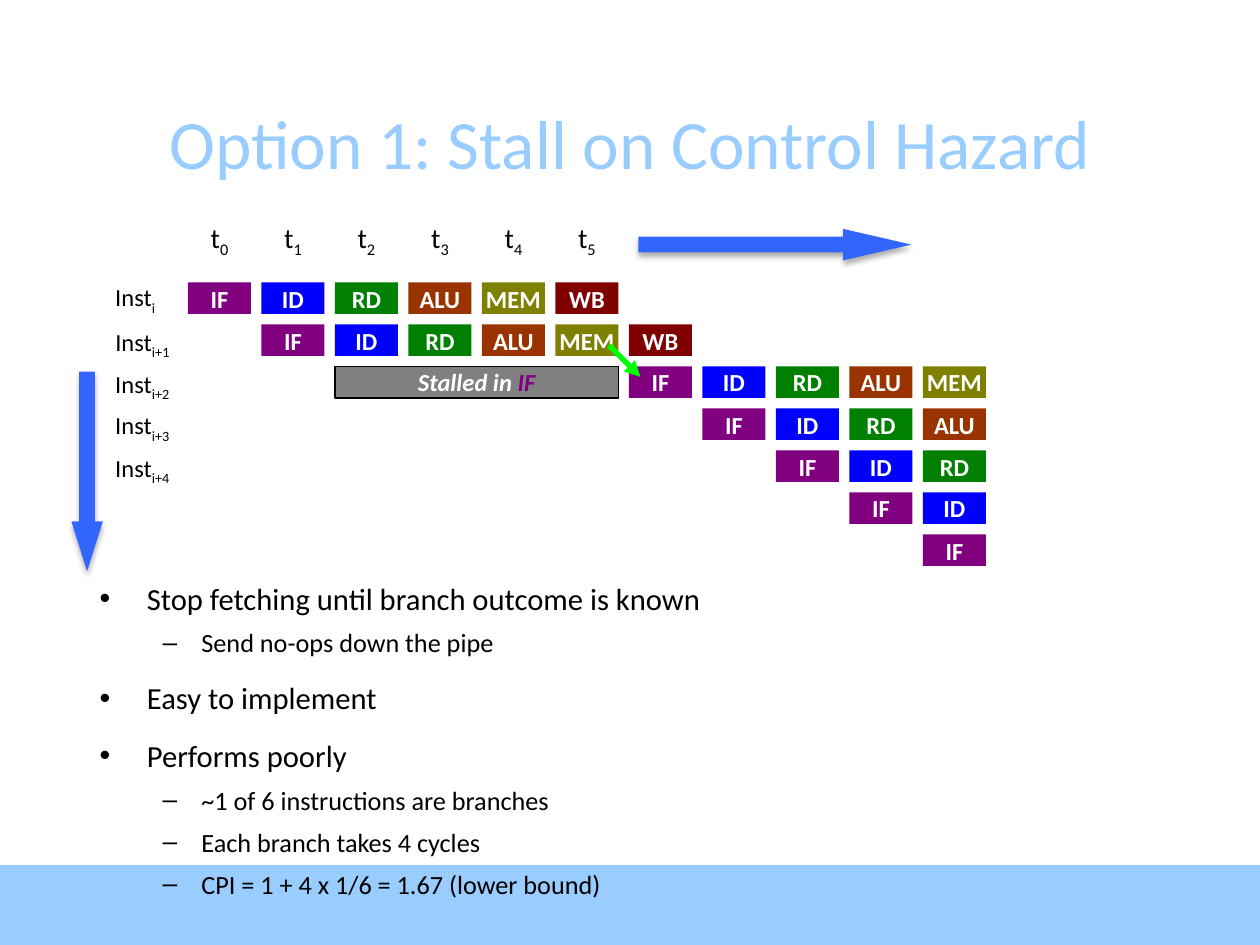
from lxml.etree import SubElement
from pptx import Presentation
from pptx.dml.color import RGBColor
from pptx.enum.shapes import MSO_CONNECTOR as CONN, MSO_SHAPE as SHAPE
from pptx.enum.text import MSO_ANCHOR as ANCHOR, MSO_AUTO_SIZE as FIT, PP_ALIGN as ALIGN
from pptx.oxml.ns import qn
from pptx.util import Pt

PX = 7620  # EMU per px: 120 px to the inch
COLORS = {
    "sky": "99CCFF", "arrow": "3366FF", "hazard": "00FF00", "stall": "808080",
    "black": "000000", "white": "FFFFFF",
    "IF": "800080", "ID": "0000FF", "RD": "008000",
    "ALU": "993300", "MEM": "808000", "WB": "800000",
}
STAGES = ["IF", "ID", "RD", "ALU", "MEM", "WB"]
LEFT, TOP, COL, ROW = 179, 269, 70, 40  # pipeline grid
CELL_W, CELL_H = 60, 30
COLUMNS = 11
ROW_STARTS = [0, 1, 6, 7, 8, 9, 10]
LABELS = [("i", 269, 65), ("i+1", 311, 100), ("i+2", 351, 110),
          ("i+3", 391, 110), ("i+4", 431, 120)]
BULLETS = [
    (0, "Stop fetching until branch outcome is known"),
    (1, "Send no-ops down the pipe"),
    (0, "Easy to implement"),
    (0, "Performs poorly"),
    (1, "~1 of 6 instructions are branches"),
    (1, "Each branch takes 4 cycles"),
    (1, "CPI = 1 + 4 x 1/6 = 1.67 (lower bound)"),
]
# Per level: mark, left margin px, indent px, space before, size
LEVELS = [("•", 45, -45, 12, 17.5), ("–", 97, -37, 6, 15)]
BAND_SHADOW = (35, 3.1, 1.8)  # opacity %, blur pt, distance pt
ARROW_SHADOW = (32, 3.5, 2.2)


def rgb(name):
    return RGBColor.from_string(COLORS[name])


class Deck:
    font = "Calibri"

    def __init__(self):
        self.prs = Presentation()
        self.prs.slide_width, self.prs.slide_height = 1200 * PX, 900 * PX
        self.slide = self.prs.slides.add_slide(self.prs.slide_layouts[5])

    def run(self, p, text, color="black", base=0, **fmt):
        r = p.add_run()
        r.text = text
        r.font.name = self.font
        r.font.color.rgb = rgb(color)
        for key, value in fmt.items():
            setattr(r.font, key, value)
        if base:
            r.font._element.set("baseline", str(base * 1000))

    def title(self, text, x, y, w, h):
        sp = self.slide.shapes.title
        sp.left, sp.top, sp.width, sp.height = (v * PX for v in (x, y, w, h))
        tf = sp.text_frame
        tf.auto_size, tf.vertical_anchor = FIT.NONE, ANCHOR.MIDDLE
        p = tf.paragraphs[0]
        p.alignment = ALIGN.CENTER
        self.run(p, text, "sky", size=Pt(39.6))

    def shape(self, kind, x, y, w, h, fill, line=None, shadow=None, adj=()):
        sp = self.slide.shapes.add_shape(kind, x * PX, y * PX, w * PX, h * PX)
        sp.fill.solid()
        sp.fill.fore_color.rgb = rgb(fill)
        if line:
            sp.line.color.rgb, sp.line.width = rgb(line), Pt(0.75)
        else:
            sp.line.fill.background()
        for i, value in enumerate(adj):
            sp.adjustments[i] = value
        sp.shadow.inherit = False
        if shadow:
            self.add_shadow(sp, *shadow)
        return sp

    def add_shadow(self, sp, opacity, blur, dist):
        effects = sp._element.spPr.find(qn("a:effectLst"))
        outer = SubElement(effects, qn("a:outerShdw"), blurRad=str(Pt(blur)),
                           dist=str(Pt(dist)), dir="5400000", rotWithShape="0")
        color = SubElement(outer, qn("a:srgbClr"), val=COLORS["black"])
        SubElement(color, qn("a:alpha"), val=str(opacity * 1000))

    def box(self, x, y, w, fill, runs, line=None, italic=None):
        sp = self.shape(SHAPE.RECTANGLE, x, y, w, CELL_H, fill, line)
        tf = sp.text_frame
        tf.word_wrap, tf.vertical_anchor = False, ANCHOR.MIDDLE
        p = tf.paragraphs[0]
        p.alignment = ALIGN.CENTER
        for text, color in runs:
            self.run(p, text, color, size=Pt(14), bold=True, italic=italic)

    def textbox(self, x, y, w, h):
        sp = self.slide.shapes.add_textbox(x * PX, y * PX, w * PX, h * PX)
        tf = sp.text_frame
        tf.word_wrap = True
        return tf

    def label(self, x, y, w, h, text, sub, size, align=ALIGN.LEFT, pad=6):
        tf = self.textbox(x, y, w, h)
        tf.auto_size = FIT.SHAPE_TO_FIT_TEXT
        tf.margin_top = tf.margin_bottom = pad * PX
        p = tf.paragraphs[0]
        p.alignment = align
        self.run(p, text, size=Pt(size))
        self.run(p, sub, size=Pt(size), base=-25)

    def bullets(self, x, y, w, h, items):
        tf = self.textbox(x, y, w, h)
        for i, (level, text) in enumerate(items):
            mark, margin, indent, before, size = LEVELS[level]
            p = tf.add_paragraph() if i else tf.paragraphs[0]
            p.level = level
            p.space_before = Pt(before if i else 0)
            pPr = p._p.get_or_add_pPr()
            pPr.set("marL", str(margin * PX))
            pPr.set("indent", str(indent * PX))
            SubElement(pPr, qn("a:buFont"), typeface="Arial")
            SubElement(pPr, qn("a:buChar"), char=mark)
            self.run(p, text, size=Pt(size))

    def arrow_line(self, x1, y1, x2, y2, color, width):
        c = self.slide.shapes.add_connector(
            CONN.STRAIGHT, x1 * PX, y1 * PX, x2 * PX, y2 * PX)
        c.line.color.rgb, c.line.width = rgb(color), Pt(width)
        SubElement(c.line._get_or_add_ln(), qn("a:tailEnd"), type="triangle")
        SubElement(c._element.spPr, qn("a:effectLst"))


def main():
    deck = Deck()

    # Footer band, title and bullets
    deck.shape(SHAPE.RECTANGLE, 0, 824, 1200, 76, "sky", shadow=BAND_SHADOW)
    deck.title("Option 1: Stall on Control Hazard", 83, 89, 1034, 92)
    deck.bullets(83, 546, 1067, 289, BULLETS)

    # Pipeline stages, cut off at the last column
    for row, start in enumerate(ROW_STARTS):
        for col, stage in enumerate(STAGES[:COLUMNS - start], start):
            deck.box(LEFT + col * COL, TOP + row * ROW, CELL_W, stage,
                     [(stage, "white")])

    # Time axis
    for t in range(6):
        deck.label(LEFT + t * COL, 204, CELL_W, 44, "t", str(t), 16, ALIGN.CENTER)
    deck.shape(SHAPE.RIGHT_ARROW, 608, 218, 260, 30, "arrow",
               shadow=ARROW_SHADOW, adj=(0.5, 2.17))

    # Instruction labels
    for sub, y, w in LABELS:
        deck.label(98, y, w, 29, "Inst", sub, 14, pad=0)

    # Stall and its release
    deck.arrow_line(580, 329, 610, 359, "hazard", 3)
    deck.box(LEFT + 2 * COL, TOP + 2 * ROW, 3 * COL + CELL_W, "stall",
             [("Stalled in ", "white"), ("IF", "IF")], line="black", italic=True)

    # Instruction order
    deck.shape(SHAPE.DOWN_ARROW, 68, 354, 30, 190, "arrow",
               shadow=ARROW_SHADOW, adj=(0.5, 1.58))

    deck.prs.save("out.pptx")


if __name__ == "__main__":
    main()
